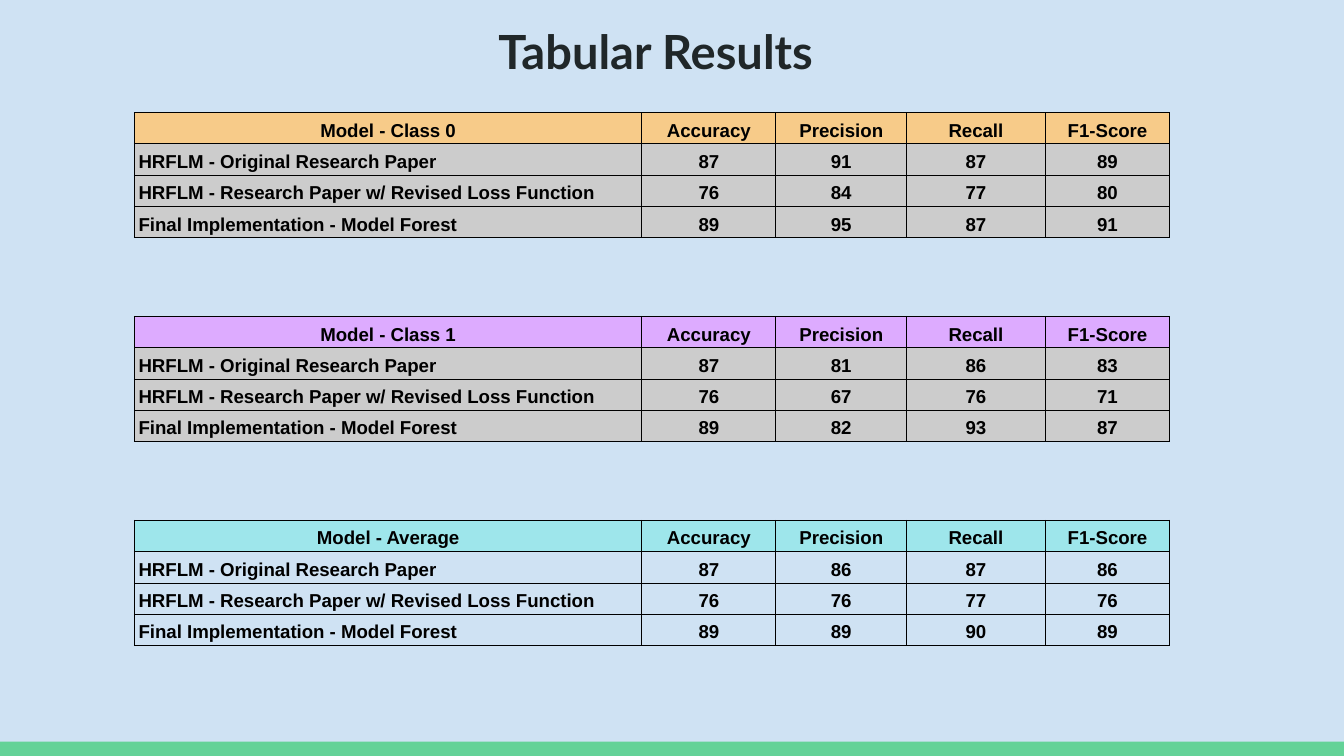
from lxml import etree
from pptx import Presentation
from pptx.dml.color import RGBColor
from pptx.enum.shapes import MSO_SHAPE
from pptx.enum.text import MSO_ANCHOR, PP_ALIGN
from pptx.oxml.ns import qn
from pptx.util import Pt

RECT = MSO_SHAPE.RECTANGLE
LEFT, CENTER = PP_ALIGN.LEFT, PP_ALIGN.CENTER
BOTTOM = MSO_ANCHOR.BOTTOM

SKY = RGBColor(0xCF, 0xE2, 0xF3)
GREEN = RGBColor(0x63, 0xD2, 0x97)
INK = RGBColor(0x20, 0x27, 0x29)
BLACK = RGBColor(0, 0, 0)
GREY = RGBColor(0xCC, 0xCC, 0xCC)
ORANGE = RGBColor(0xF7, 0xCB, 0x89)
PURPLE = RGBColor(0xDD, 0xAB, 0xFF)
AQUA = RGBColor(0x9E, 0xE6, 0xEB)

WIDTH, HEIGHT = 720, 405
FOOTER_HEIGHT = 7.6
TABLE_LEFT, TABLE_TOP, TABLE_PITCH = 72, 60.3, 109.25
COL_WIDTHS = [271.8, 71.9, 70, 74.3, 66.7]
ROW_HEIGHT = 15.84

METRICS = ["Accuracy", "Precision", "Recall", "F1-Score"]
MODELS = [
    "HRFLM - Original Research Paper",
    "HRFLM - Research Paper w/ Revised Loss Function",
    "Final Implementation - Model Forest",
]
# heading, heading fill, body fill, scores per model
RESULTS = [
    ("Model - Class 0", ORANGE, GREY,
     [(87, 91, 87, 89), (76, 84, 77, 80), (89, 95, 87, 91)]),
    ("Model - Class 1", PURPLE, GREY,
     [(87, 81, 86, 83), (76, 67, 76, 71), (89, 82, 93, 87)]),
    ("Model - Average", AQUA, None,
     [(87, 86, 87, 86), (76, 76, 77, 76), (89, 89, 90, 89)]),
]


class SlideBuilder:
    title_font = {"name": "Lato", "size": Pt(25.2), "bold": True}
    cell_font = {"name": "Arial", "size": Pt(10), "bold": True}
    cell_format = {
        "margin_left": Pt(2.25), "margin_right": Pt(2.25),
        "margin_top": Pt(1.5), "margin_bottom": Pt(1.5),
        "vertical_anchor": BOTTOM,
    }
    border_width = Pt(0.6)

    def __init__(self, slide, background):
        self.slide = slide
        slide.background.fill.solid()
        slide.background.fill.fore_color.rgb = background

    def add_text(self, p, text, font, color, align):
        p.alignment = align
        r = p.add_run()
        r.text = text
        for name, value in font.items():
            setattr(r.font, name, value)
        r.font.color.rgb = color

    def bar(self, x, y, w, h, color):
        sp = self.slide.shapes.add_shape(RECT, Pt(x), Pt(y), Pt(w), Pt(h))
        sp.shadow.inherit = False
        sp.fill.solid()
        sp.fill.fore_color.rgb = color
        sp.line.fill.background()

    def title(self, x, y, w, h, text):
        tf = self.slide.shapes.add_textbox(Pt(x), Pt(y), Pt(w), Pt(h)).text_frame
        tf.word_wrap = True
        for side in ("left", "top", "right", "bottom"):
            setattr(tf, f"margin_{side}", Pt(7.2))
        self.add_text(tf.paragraphs[0], text, self.title_font, INK, LEFT)

    def border(self, cell):
        """Draw all four edges; they must come before the cell's fill."""
        tc_pr = cell._tc.get_or_add_tcPr()
        for edge in ("a:lnL", "a:lnR", "a:lnT", "a:lnB"):
            ln = etree.SubElement(tc_pr, qn(edge), w=str(self.border_width))
            fill = etree.SubElement(ln, qn("a:solidFill"))
            etree.SubElement(fill, qn("a:srgbClr"), val=str(BLACK))

    def cell(self, cell, text, fill, align):
        for name, value in self.cell_format.items():
            setattr(cell, name, value)
        self.border(cell)
        if fill is None:
            cell.fill.background()
        else:
            cell.fill.solid()
            cell.fill.fore_color.rgb = fill
        p = cell.text_frame.paragraphs[0]
        p.line_spacing = 1.15
        self.add_text(p, text, self.cell_font, BLACK, align)

    def table(self, x, y, rows, head_fill, body_fill):
        table = self.slide.shapes.add_table(
            len(rows), len(COL_WIDTHS), Pt(x), Pt(y),
            Pt(sum(COL_WIDTHS)), Pt(ROW_HEIGHT * len(rows))).table
        table.first_row = table.horz_banding = False
        for column, width in zip(table.columns, COL_WIDTHS):
            column.width = Pt(width)
        for i, row in enumerate(rows):
            table.rows[i].height = Pt(ROW_HEIGHT)
            for j, value in enumerate(row):
                self.cell(table.cell(i, j), str(value),
                          body_fill if i else head_fill,
                          LEFT if i and j == 0 else CENTER)


def main():
    prs = Presentation()
    prs.slide_width, prs.slide_height = Pt(WIDTH), Pt(HEIGHT)
    s = SlideBuilder(prs.slides.add_slide(prs.slide_layouts[6]), SKY)
    s.bar(0, HEIGHT - FOOTER_HEIGHT, WIDTH, FOOTER_HEIGHT, GREEN)
    s.title(260, 5, 199.5, 45.4, "Tabular Results")
    for i, (heading, head_fill, body_fill, scores) in enumerate(RESULTS):
        rows = [[heading, *METRICS]]
        rows += [[model, *values] for model, values in zip(MODELS, scores)]
        s.table(TABLE_LEFT, TABLE_TOP + i * TABLE_PITCH, rows, head_fill, body_fill)
    prs.save("out.pptx")


if __name__ == "__main__":
    main()
